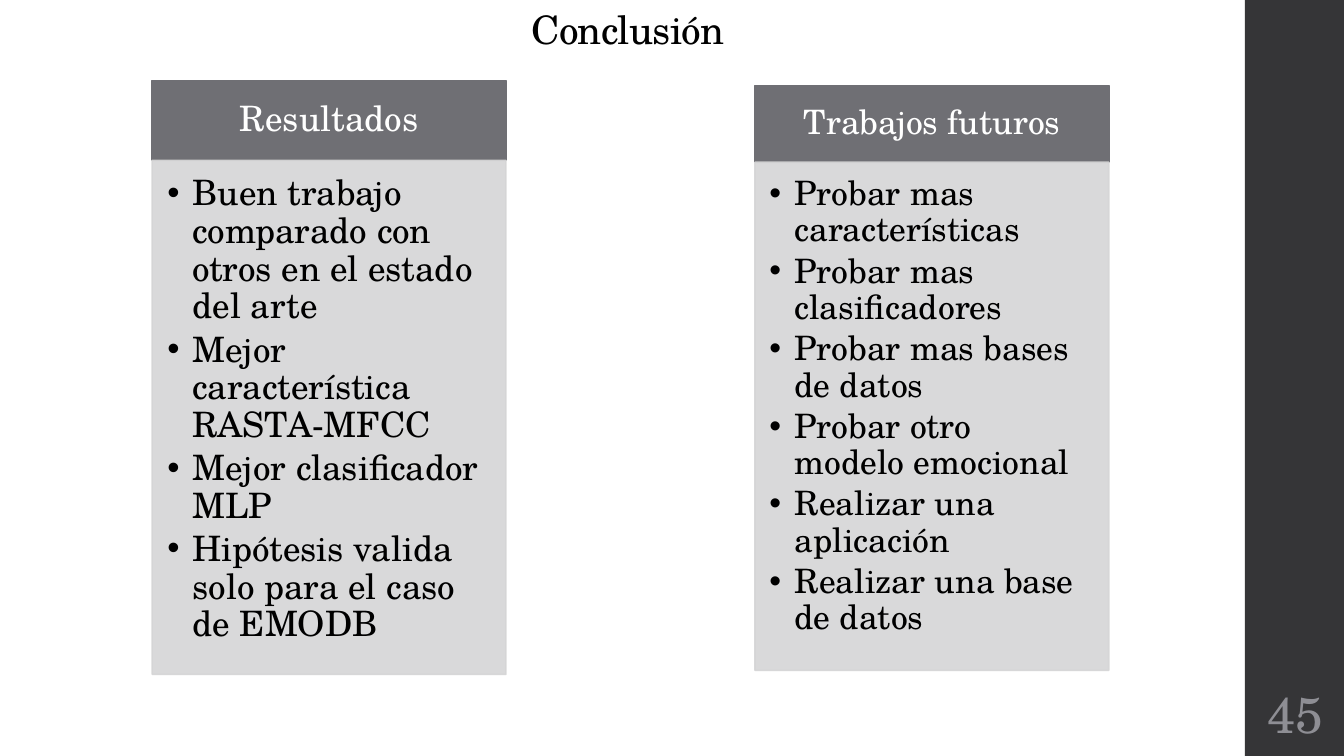
import lxml.etree
import pptx
import pptx.dml.color
import pptx.enum.shapes
import pptx.enum.text
import pptx.oxml.ns
import pptx.util

Pt = pptx.util.Pt
RGBColor = pptx.dml.color.RGBColor
ALIGN = pptx.enum.text.PP_ALIGN
ANCHOR = pptx.enum.text.MSO_ANCHOR

FONT = "TeX Gyre Schola"
BLACK = RGBColor(0x00, 0x00, 0x00)
WHITE = RGBColor(0xFF, 0xFF, 0xFF)
SIDEBAR = RGBColor(0x35, 0x35, 0x37)
HEADING = RGBColor(0x6F, 0x6F, 0x74)
PANEL = RGBColor(0xD5, 0xD5, 0xD6)
NUMBER = RGBColor(0x8E, 0x8E, 0x94)

COLUMN_WIDTH = 252.7
COLUMNS = [
    {
        "left": 108.7, "top": 57.6, "heading_height": 56.9, "list_height": 367.2,
        "size": 25, "inset": 10.8, "heading": "Resultados",
        "items": [
            "Buen trabajo comparado con otros en el estado del arte",
            "Mejor característica RASTA-MFCC",
            "Mejor clasificador MLP",
            "Hipótesis valida solo para el caso de EMODB",
        ],
    },
    {
        "left": 539.3, "top": 61.2, "heading_height": 54.7, "list_height": 362.9,
        "size": 24, "inset": 10.2, "heading": "Trabajos futuros",
        "items": [
            "Probar mas características",
            "Probar mas clasificadores",
            "Probar mas bases de datos",
            "Probar otro modelo emocional",
            "Realizar una aplicación",
            "Realizar una base de datos",
        ],
    },
]


def set_values(target, values):
    for name, value in values.items():
        setattr(target, name, value)


def place(shape, left, top, width, height):
    set_values(shape, {"left": Pt(left), "top": Pt(top),
                       "width": Pt(width), "height": Pt(height)})


def paint(shape, color, opacity=100):
    shape.fill.solid()
    shape.fill.fore_color.rgb = color
    shape.line.color.rgb = color
    shape.line.width = Pt(1.1)
    if opacity < 100:
        for color_element in shape.element.spPr.iter(pptx.oxml.ns.qn("a:srgbClr")):
            alpha = lxml.etree.SubElement(color_element, pptx.oxml.ns.qn("a:alpha"))
            alpha.set("val", str(opacity * 1000))


def format_frame(frame, anchor, insets):
    left, top, right, bottom = insets
    set_values(frame, {
        "word_wrap": True, "auto_size": pptx.enum.text.MSO_AUTO_SIZE.NONE,
        "vertical_anchor": anchor, "margin_left": Pt(left), "margin_top": Pt(top),
        "margin_right": Pt(right), "margin_bottom": Pt(bottom),
    })


def write(para, text, size, color, **values):
    set_values(para, {"line_spacing": 0.9, "space_before": Pt(0), **values})
    span = para.add_run()
    span.text = text
    set_values(span.font, {"name": FONT, "size": Pt(size), "bold": False})
    span.font.color.rgb = color
    return span


def add_bullet(para):
    properties = para._p.get_or_add_pPr()
    properties.set("marL", str(Pt(18)))
    properties.set("indent", str(Pt(-18)))
    bullet = lxml.etree.SubElement(properties, pptx.oxml.ns.qn("a:buChar"))
    bullet.set("char", "•")


def fill_title(title, text):
    place(title, 67, 11.5, 763.2, 30.2)
    format_frame(title.text_frame, ANCHOR.BOTTOM, (7.2, 3.6, 7.2, 3.6))
    span = write(title.text_frame.paragraphs[0], text, 28, BLACK, alignment=ALIGN.CENTER)
    span._r.get_or_add_rPr().set("spc", "-50")


def fill_heading(box, column):
    place(box, column["left"], column["top"], COLUMN_WIDTH, column["heading_height"])
    paint(box, HEADING)
    format_frame(box.text_frame, ANCHOR.MIDDLE, (13.7, 7.9, 13.7, 7.9))
    write(box.text_frame.paragraphs[0], column["heading"], column["size"], WHITE,
          alignment=ALIGN.CENTER)


def fill_list(box, column):
    top = column["top"] + column["heading_height"]
    inset = column["inset"]
    place(box, column["left"], top, COLUMN_WIDTH, column["list_height"])
    paint(box, PANEL, 90)
    frame = box.text_frame
    format_frame(frame, ANCHOR.TOP, (inset, inset, 13.7, inset * 1.5))
    for index, item in enumerate(column["items"]):
        para = frame.add_paragraph() if index else frame.paragraphs[0]
        add_bullet(para)
        write(para, item, column["size"], BLACK, alignment=ALIGN.LEFT,
              space_after=Pt(0.15 * column["size"]))


def add_sidebar(page, number):
    bar = page.shapes.add_shape(pptx.enum.shapes.MSO_SHAPE.RECTANGLE,
                                Pt(889.2), Pt(0), Pt(70.8), Pt(540))
    bar.shadow.inherit = False
    bar.fill.solid()
    bar.fill.fore_color.rgb = SIDEBAR
    bar.line.fill.background()
    box = page.shapes.add_textbox(Pt(889.2), Pt(486), Pt(72), Pt(46.8))
    format_frame(box.text_frame, ANCHOR.MIDDLE, (3.6, 3.6, 3.6, 3.6))
    write(box.text_frame.paragraphs[0], number, 36, NUMBER,
          alignment=ALIGN.CENTER, line_spacing=1.0)


def main():
    deck = pptx.Presentation()
    set_values(deck, {"slide_width": Pt(960), "slide_height": Pt(540)})
    page = deck.slides.add_slide(deck.slide_layouts.get_by_name("Comparison"))
    fill_title(page.shapes.title, "Conclusión")
    bodies = list(page.placeholders)[1:]
    for column, heading, body in zip(COLUMNS, bodies[::2], bodies[1::2]):
        fill_heading(heading, column)
        fill_list(body, column)
    add_sidebar(page, "45")
    deck.save("out.pptx")


if __name__ == "__main__":
    main()
